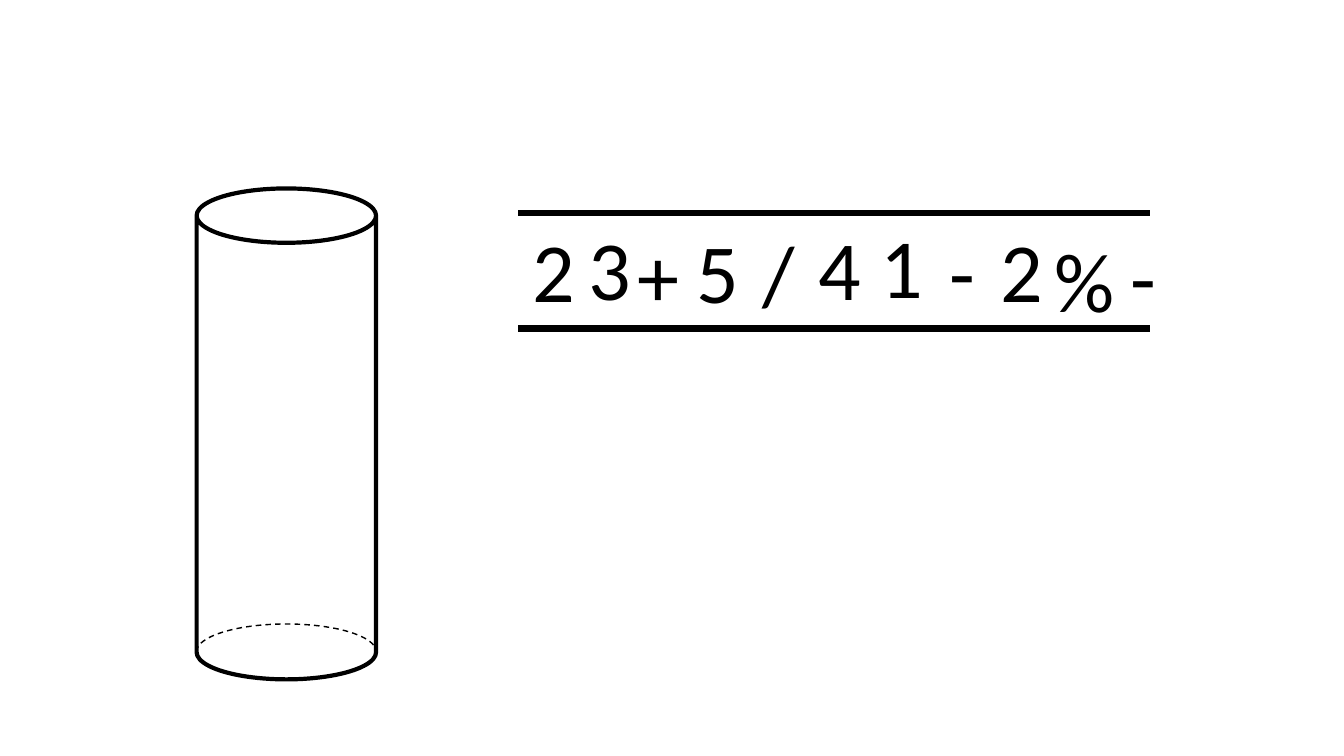
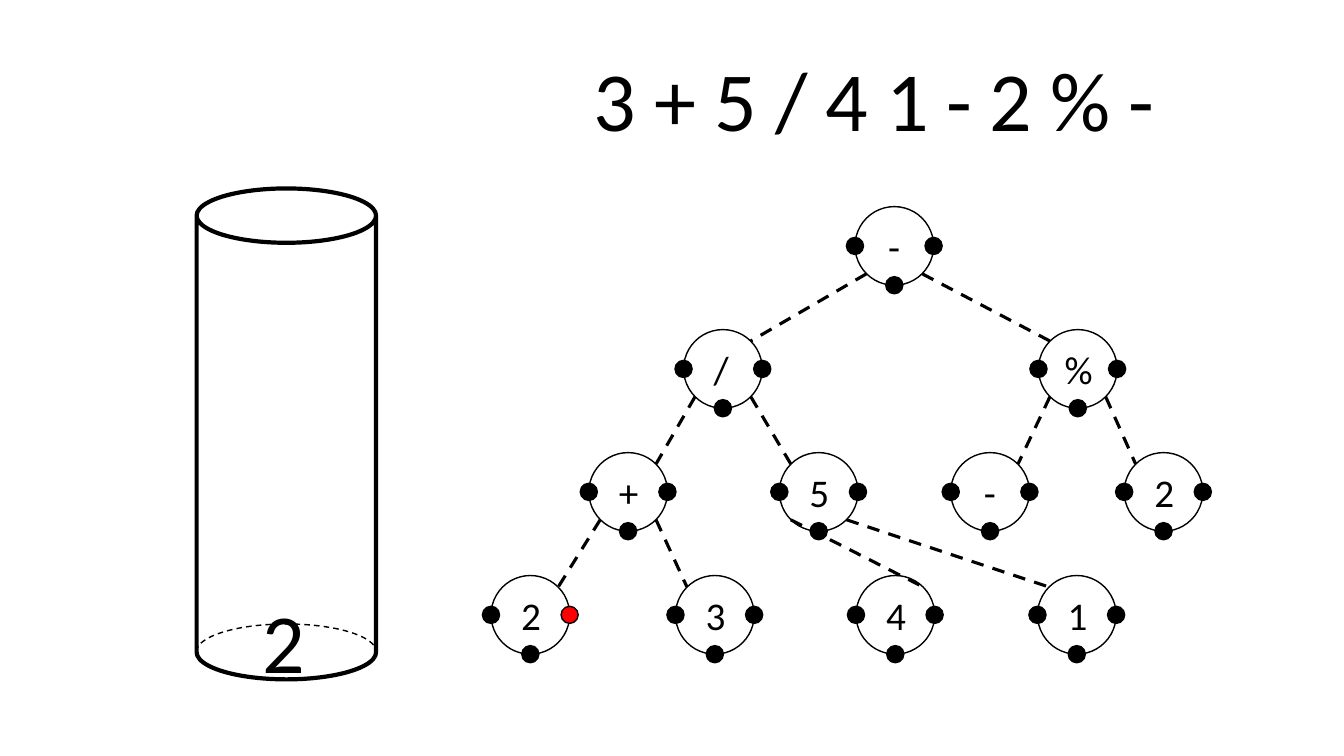
from dataclasses import dataclass

from lxml import etree
from pptx import Presentation
from pptx import util as u
from pptx.dml.color import RGBColor
from pptx.enum import dml, shapes, text
from pptx.oxml.ns import qn


@dataclass(frozen=True)
class Theme:
    """Colours, font, type sizes and line weights."""
    ink: RGBColor = RGBColor(0, 0, 0)
    paper: RGBColor = RGBColor(255, 255, 255)
    active: RGBColor = RGBColor(255, 0, 0)
    font: str = "Calibri"
    token: int = 60
    node: int = 28
    thin: float = 1
    branch: float = 2.25
    stack: float = 3
    rail: float = 4.5


theme = Theme()


def add_outline(parent, kind, frame, fill=None, weight=theme.thin):
    """Add an inked shape at (left, top, width, height) in inches."""
    shape = parent.shapes.add_shape(kind, *map(u.Inches, frame))
    shape.shadow.inherit = False
    if fill is None:
        shape.fill.background()
    else:
        shape.fill.solid()
        shape.fill.fore_color.rgb = fill
    shape.line.color.rgb = theme.ink
    shape.line.width = u.Pt(weight)
    return shape


def add_symbol(parent, symbol, frame, size, wrap=False):
    """Add one symbol as a text box at a frame in inches."""
    box = parent.shapes.add_textbox(*map(u.Inches, frame))
    box.text_frame.text = symbol
    box.text_frame.word_wrap = wrap
    box.text_frame.auto_size = text.MSO_AUTO_SIZE.SHAPE_TO_FIT_TEXT
    span = box.text_frame.paragraphs[0].runs[0]
    span.font.name = theme.font
    span.font.size = u.Pt(size)
    span.font.color.rgb = theme.ink


deck = Presentation()
deck.slide_width, deck.slide_height = u.Inches(13.33), u.Inches(7.5)
queue_page, tree_page = (deck.slides.add_slide(deck.slide_layouts[6]) for _ in range(2))
OVAL = shapes.MSO_SHAPE.OVAL
strokes = []  # page, start x, start y, end x, end y, weight, dash

# The stack on both slides
stack_left, stack_top, stack_width, stack_height = 1.95, 1.87, 1.78, 4.87
rim = 0.55
for page in (queue_page, tree_page):
    stack = page.shapes.add_group_shape()
    can = add_outline(stack, shapes.MSO_SHAPE.CAN,
                      (stack_left, stack_top, stack_width, stack_height),
                      theme.paper, theme.stack)
    can.adjustments[0] = 0.303
    base = add_outline(stack, OVAL,
                       (stack_left, stack_top + stack_height - rim, stack_width, rim))
    base.line.dash_style = dml.MSO_LINE.DASH

# Tokens of the expression
token_height, digit_width = 1.11, 0.63
token_widths = {"-": 0.46, "/": 0.53, "%": 0.8}

# Slide 1: the queue between two rails
for rail_y in (2.11, 3.26):
    strokes.append((queue_page, 5.14, rail_y, 11.41, rail_y, theme.rail, None))
queue = zip("23+5/41-2%-",
            (5.18, 5.74, 6.22, 6.81, 7.46, 8.02, 8.63, 9.32, 9.83, 10.36, 11.11),
            (2.12, 2.1, 2.17, 2.13, 2.15, 2.1, 2.08, 2.13, 2.12, 2.22, 2.18))
for symbol, left, top in queue:
    width = token_widths.get(symbol, digit_width)
    add_symbol(queue_page, symbol, (left, top, width, token_height), theme.token)

# Slide 2: the remaining tokens in a row, the first one on the stack
add_symbol(tree_page, "2", (2.51, 5.8, digit_width, token_height), theme.token)
token_left, overlap = 5.79, 0.03
for symbol in "3+5/41-2%-":
    width = token_widths.get(symbol, digit_width)
    add_symbol(tree_page, symbol, (token_left, 0.42, width, token_height), theme.token)
    token_left += width - overlap

# Slide 2: the tree in level order, so node i hangs from node (i - 1) // 2
radius, dot = 0.39, 0.17
diagonal = radius * 0.71
root_y, level_gap = 2.44, 1.22
label_width, label_height = 0.33, 0.57
label_shifts = {"-": -0.16, "%": -0.23}
node_xs = (8.87, 7.17, 10.69, 6.23, 8.12, 9.82, 11.54, 5.26, 7.09, 8.88, 10.68)
active_dot = (7, 1)  # node, side
centres = []
for index, (symbol, x) in enumerate(zip("-/%+5-22341", node_xs)):
    y = root_y + level_gap * ((index + 1).bit_length() - 1)
    centres.append((x, y))
    node = tree_page.shapes.add_group_shape()
    add_outline(node, OVAL, (x - radius, y - radius, 2 * radius, 2 * radius), theme.paper)
    for side in (-1, 0, 1):
        dot_x = x + side * radius
        dot_y = y if side else y + radius
        fill = theme.active if (index, side) == active_dot else theme.ink
        add_outline(node, OVAL, (dot_x - dot / 2, dot_y - dot / 2, dot, dot), fill)
    label_left = x + label_shifts.get(symbol, -0.19)
    add_symbol(node, symbol, (label_left, y - label_height / 2, label_width, label_height),
               theme.node, wrap=True)
    if index:
        parent_x, parent_y = centres[(index - 1) // 2]
        way = -1 if index % 2 else 1
        strokes.append((tree_page, parent_x + way * diagonal, parent_y + diagonal,
                        x - way * diagonal, y - diagonal,
                        theme.branch, dml.MSO_LINE.DASH))

# Rails and branches
for page, start_x, start_y, end_x, end_y, weight, dash in strokes:
    ends = map(u.Inches, (start_x, start_y, end_x, end_y))
    stroke = page.shapes.add_connector(shapes.MSO_CONNECTOR.STRAIGHT, *ends)
    stroke.line.color.rgb = theme.ink
    stroke.line.width = u.Pt(weight)
    if dash is not None:
        stroke.line.dash_style = dash
    etree.SubElement(stroke._element.spPr, qn("a:effectLst"))

deck.save("out.pptx")
